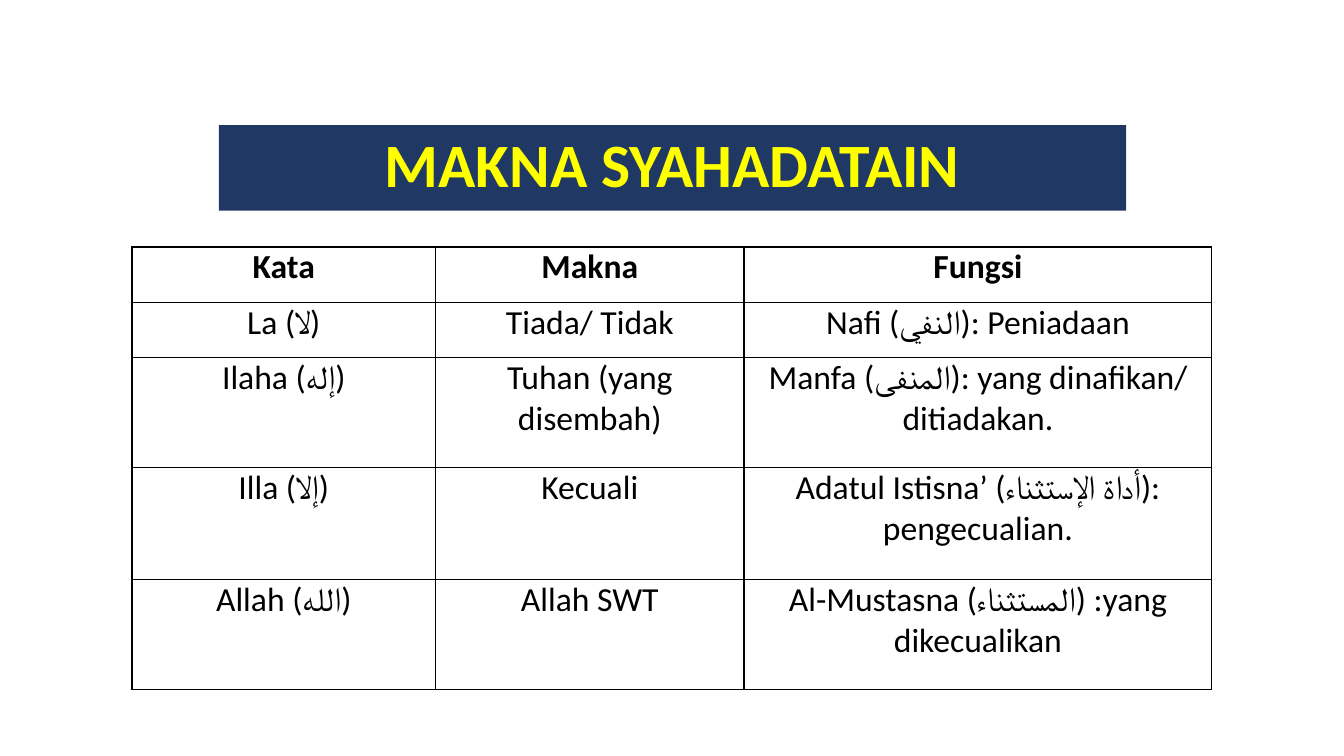
from dataclasses import dataclass

import pptx
import pptx.dml.color
import pptx.enum.shapes
import pptx.enum.text
import pptx.oxml
import pptx.oxml.ns
import pptx.util
from pptx.util import Inches

FONT = "Calibri"
BLACK, NAVY, YELLOW = "000000", "203864", "FFFF00"
COLUMN_WIDTHS = (3.01, 3.06, 4.64)


@dataclass(frozen=True)
class TableRow:
    height: float
    texts: tuple[str, str, str]
    bold: bool = False


ROWS = (
    TableRow(0.55, ("Kata", "Makna", "Fungsi"), bold=True),
    TableRow(0.55, ("La (لا)", "Tiada/ Tidak", "Nafi (النفي): Peniadaan")),
    TableRow(1.09, ("Ilaha (إله)", "Tuhan (yang disembah)",
                    "Manfa (المنفى): yang dinafikan/ ditiadakan.")),
    TableRow(1.11, ("Illa (إلا)", "Kecuali",
                    "Adatul Istisna’ (أداة الإستثناء): pengecualian.")),
    TableRow(1.09, ("Allah (الله)", "Allah SWT",
                    "Al-Mustasna (المستثناء) :yang dikecualikan")),
)


def color(value: str) -> pptx.dml.color.RGBColor:
    return pptx.dml.color.RGBColor.from_string(value)


def write_centered(frame, text: str, size: int, ink: str, bold: bool) -> None:
    frame.word_wrap = True
    para = frame.paragraphs[0]
    para.alignment = pptx.enum.text.PP_ALIGN.CENTER
    span = para.add_run()
    span.text = text
    span.font.name = FONT
    span.font.size = pptx.util.Pt(size)
    span.font.bold = bold
    span.font.color.rgb = color(ink)


def add_title(page) -> None:
    box = page.shapes.add_shape(
        pptx.enum.shapes.MSO_SHAPE.RECTANGLE,
        Inches(2.17), Inches(1.24), Inches(9), Inches(0.85))
    box.shadow.inherit = False
    box.fill.solid()
    box.fill.fore_color.rgb = color(NAVY)
    box.line.fill.background()
    box.text_frame.vertical_anchor = pptx.enum.text.MSO_ANCHOR.MIDDLE
    write_centered(box.text_frame, "MAKNA SYAHADATAIN", 44, YELLOW, bold=True)
    box.text_frame.paragraphs[0].line_spacing = 0.9


def outline_cell(cell) -> None:
    """Put a thin black border on all four sides, ahead of the cell's fill."""
    properties = cell._tc.get_or_add_tcPr()
    for position, side in enumerate(("lnL", "lnR", "lnT", "lnB")):
        border = pptx.oxml.parse_xml(
            f'<a:{side} {pptx.oxml.ns.nsdecls("a")} w="{pptx.util.Pt(1)}">'
            f'<a:solidFill><a:srgbClr val="{BLACK}"/></a:solidFill></a:{side}>')
        properties.insert(position, border)


def add_meaning_table(page) -> None:
    table = page.shapes.add_table(
        len(ROWS), len(COLUMN_WIDTHS), Inches(1.31), Inches(2.45),
        Inches(sum(COLUMN_WIDTHS)), Inches(sum(row.height for row in ROWS))).table
    table.horz_banding = False
    for column, width in zip(table.columns, COLUMN_WIDTHS):
        column.width = Inches(width)
    for table_row, row in zip(table.rows, ROWS):
        table_row.height = Inches(row.height)
        for cell, text in zip(table_row.cells, row.texts):
            cell.margin_left = cell.margin_right = Inches(0.07)
            cell.margin_top = cell.margin_bottom = 0
            cell.fill.background()
            outline_cell(cell)
            write_centered(cell.text_frame, text, 24, BLACK, row.bold)


def main() -> None:
    deck = pptx.Presentation()
    deck.slide_width, deck.slide_height = Inches(13.33), Inches(7.5)
    page = deck.slides.add_slide(deck.slide_layouts[6])
    add_title(page)
    add_meaning_table(page)
    deck.save("out.pptx")


if __name__ == "__main__":
    main()
